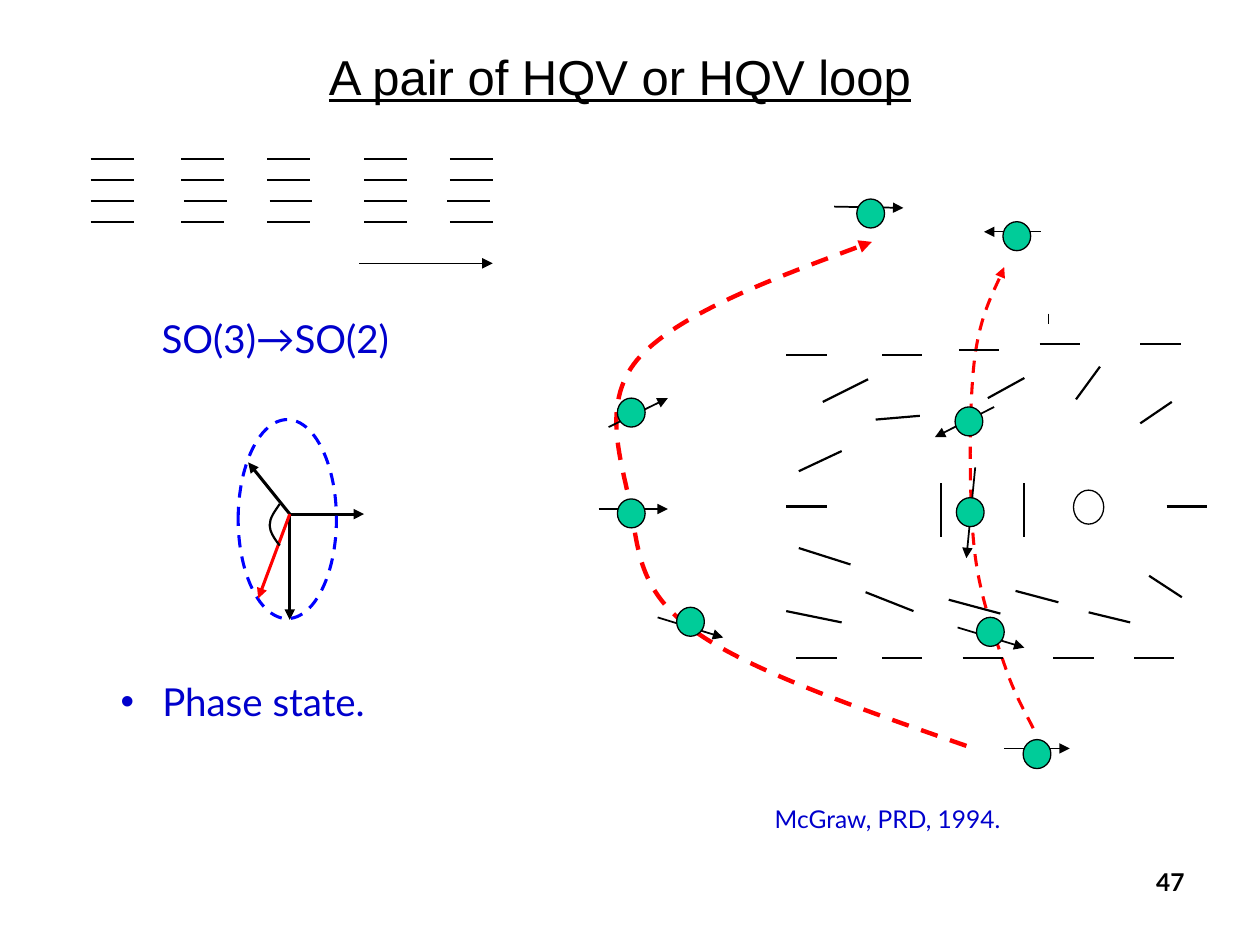
import lxml.etree
import pptx
import pptx.dml.color
import pptx.enum.dml
import pptx.enum.shapes
import pptx.enum.text
import pptx.oxml.ns
import pptx.util

Inches = pptx.util.Inches
Pt = pptx.util.Pt
qn = pptx.oxml.ns.qn
ALIGN = pptx.enum.text.PP_ALIGN

BLACK, RED, BLUE, INK, GREEN = "000000", "FF0000", "0000FF", "0000CC", "00CC99"


def colour(value):
    return pptx.dml.color.RGBColor.from_string(value)


class Painter:
    """Holds the style and the slide; shapes go into the current target."""

    font = "Lato"

    def __init__(self, slide):
        self.slide = slide
        self.target = slide.shapes

    def start_group(self):
        self.target = self.slide.shapes.add_group_shape().shapes

    def end_group(self):
        self.target = self.slide.shapes

    def outline(self, shape, line_colour, width, dashed=False, arrow=False):
        shape.line.color.rgb = colour(line_colour)
        shape.line.width = Pt(width)
        if dashed:
            shape.line.dash_style = pptx.enum.dml.MSO_LINE.DASH
        if arrow:
            line = shape._element.spPr.find(qn("a:ln"))
            lxml.etree.SubElement(line, qn("a:tailEnd"), type="triangle")

    def line(self, x1, y1, x2, y2, line_colour=BLACK, width=1.25, arrow=False):
        connector = self.target.add_connector(
            pptx.enum.shapes.MSO_CONNECTOR.STRAIGHT,
            Inches(x1), Inches(y1), Inches(x2), Inches(y2))
        self.outline(connector, line_colour, width, arrow=arrow)
        lxml.etree.SubElement(connector._element.spPr, qn("a:effectLst"))

    def ellipse(self, left, top, width, height, fill=None,
                line_colour=BLACK, line_width=0.75, dashed=False):
        shape = self.target.add_shape(
            pptx.enum.shapes.MSO_SHAPE.OVAL,
            Inches(left), Inches(top), Inches(width), Inches(height))
        shape.shadow.inherit = False
        if fill:
            shape.fill.solid()
            shape.fill.fore_color.rgb = colour(fill)
        else:
            shape.fill.background()
        self.outline(shape, line_colour, line_width, dashed)

    def curve(self, points, line_colour, width, dashed=False, arrow=False):
        """Cubic curve: a start point, then three points per segment."""
        start, *others = [(Inches(x), Inches(y)) for x, y in points]
        builder = self.target.build_freeform(*start)
        builder.add_line_segments(others, close=False)
        shape = builder.convert_to_shape()
        shape.shadow.inherit = False
        shape.fill.background()
        self.outline(shape, line_colour, width, dashed, arrow)
        # Turn each three straight steps into one cubic segment
        path = shape._element.spPr.find(".//" + qn("a:path"))
        steps = path.findall(qn("a:lnTo"))
        for index in range(0, len(steps), 3):
            cubic = lxml.etree.SubElement(path, qn("a:cubicBezTo"))
            for step in steps[index:index + 3]:
                cubic.append(step[0])
                path.remove(step)

    def spin(self, arrow, left, top, width=1):
        self.line(*arrow, width=width, arrow=True)
        self.ellipse(left, top, 0.22, 0.23, GREEN)

    def text(self, words, left, top, width, height, size, text_colour=INK,
             font=None, align=ALIGN.LEFT, bold=False, underline=False,
             middle=False, wrap=True, bullet=False):
        box = self.target.add_textbox(
            Inches(left), Inches(top), Inches(width), Inches(height))
        frame = box.text_frame
        frame.word_wrap = wrap
        if middle:
            frame.vertical_anchor = pptx.enum.text.MSO_ANCHOR.MIDDLE
        frame.text = words
        paragraph = frame.paragraphs[0]
        paragraph.alignment = align
        if bullet:
            properties = paragraph._p.get_or_add_pPr()
            properties.set("marL", str(Inches(0.33)))
            properties.set("indent", str(-Inches(0.33)))
            lxml.etree.SubElement(properties, qn("a:buFont"), typeface="Arial")
            lxml.etree.SubElement(properties, qn("a:buChar"), char="•")
        run_font = paragraph.runs[0].font
        run_font.name = font or self.font
        run_font.size = Pt(size)
        run_font.bold = bold
        run_font.underline = underline
        run_font.color.rgb = colour(text_colour)


def main():
    presentation = pptx.Presentation()
    presentation.slide_width = Inches(10)
    presentation.slide_height = Inches(7.5)
    slide = presentation.slides.add_slide(presentation.slide_layouts[6])
    painter = Painter(slide)

    # Slide number and title
    painter.text("47", 7.17, 6.83, 2.33, 0.52, 14, BLACK,
                 align=ALIGN.RIGHT, bold=True)
    painter.text("A pair of HQV or HQV loop", 0.42, 0.25, 9, 0.7, 28, BLACK,
                 font="Arial", align=ALIGN.CENTER, underline=True, middle=True)

    # Dashed paths around and through the vortex pair
    painter.curve([(7.67, 5.92), (6.81, 5.62), (5.94, 5.32), (5.5, 5),
                   (5.06, 4.68), (5.07, 4.36), (5, 4),
                   (4.93, 3.64), (4.76, 3.18), (5.08, 2.83),
                   (5.4, 2.49), (6.16, 2.2), (6.92, 1.92)],
                  RED, 2.5, dashed=True, arrow=True)
    painter.curve([(8.2, 5.78), (8.13, 5.64), (8.05, 5.51), (7.97, 5.27),
                   (7.89, 5.03), (7.77, 4.73), (7.73, 4.33),
                   (7.69, 3.94), (7.69, 3.26), (7.73, 2.89),
                   (7.77, 2.52), (7.92, 2.25), (7.97, 2.12)],
                  RED, 1.75, dashed=True, arrow=True)

    # Director field: level, upright and tilted strokes
    level_strokes = [(6.24, 2.82), (7, 2.82), (7.61, 2.78), (8.25, 2.73),
                     (9.05, 2.73), (6.24, 4.02), (9.26, 4.02), (6.32, 5.22),
                     (7, 5.22), (7.64, 5.22), (8.36, 5.22), (9, 5.22)]
    for x, y in level_strokes:
        painter.line(x, y, x + 0.32, y)
    for x in (7.47, 8.13):
        painter.line(x, 4.26, x, 3.83)
    tilted_strokes = [
        (9.12, 4.57, 9.38, 4.74), (8.64, 4.86, 8.97, 4.94),
        (9.05, 3.36, 9.3, 3.19), (8.54, 3.17, 8.73, 2.91),
        (8.06, 4.69, 8.4, 4.78), (7.84, 3.16, 8.13, 3),
        (6.95, 3.33, 7.3, 3.3), (6.87, 4.7, 7.25, 4.85),
        (7.53, 4.76, 7.94, 4.87), (6.34, 3.74, 6.68, 3.58),
        (6.34, 4.35, 6.75, 4.48), (6.53, 3.19, 6.89, 3.01),
        (6.24, 4.85, 6.68, 4.94)]
    for stroke in tilted_strokes:
        painter.line(*stroke)
    painter.line(8.32, 2.49, 8.32, 2.57, width=0.75)
    painter.ellipse(8.52, 3.89, 0.24, 0.27)
    painter.text("McGraw, PRD, 1994.", 6.05, 6.33, 2.04, 0.34, 14)

    # Spins along both paths
    painter.spin((7.97, 5.94, 8.49, 5.94), 8.12, 5.87)
    painter.spin((8.26, 1.84, 7.81, 1.84), 7.96, 1.76, width=0.75)
    painter.spin((7.74, 3.71, 7.67, 4.43), 7.59, 3.95)
    painter.spin((5.22, 4.9, 5.74, 5.06), 5.37, 4.82)
    painter.spin((4.75, 4.04, 5.3, 4.04), 4.9, 3.96)
    painter.spin((4.83, 3.39, 5.3, 3.16), 4.9, 3.16)
    painter.spin((6.62, 1.64, 7.17, 1.65), 6.8, 1.58)
    painter.spin((7.6, 4.98, 8.13, 5.14), 7.75, 4.9)
    painter.spin((7.89, 3.23, 7.42, 3.47), 7.58, 3.23)

    # Phase circle with its arrows
    painter.start_group()
    for x, y in [(2.89, 4.08), (1.97, 3.67), (2.3, 4.92)]:
        painter.line(2.3, 4.08, x, y, width=1.75, arrow=True)
    painter.ellipse(1.89, 3.33, 0.78, 1.58, line_colour=BLUE,
                    line_width=1.75, dashed=True)
    painter.line(2.3, 4.08, 2.05, 4.75, RED, 1.75, arrow=True)
    painter.curve([(2.22, 4), (2.18, 4.06), (2.14, 4.11), (2.14, 4.17),
                   (2.14, 4.22), (2.18, 4.28), (2.22, 4.33)], BLACK, 1.25)

    # Aligned state: a grid whose third row is slightly shifted
    painter.start_group()
    painter.line(2.85, 2.09, 3.91, 2.09, width=0.75, arrow=True)
    columns = (0.72, 1.44, 2.12, 2.89, 3.57)
    third_row_shifts = (0, 0.02, 0.02, 0, -0.02)
    for row in range(4):
        y = 1.26 + row / 6
        for x, shift in zip(columns, third_row_shifts):
            left = x + shift if row == 2 else x
            painter.line(left, y, left + 0.34, y)
    painter.end_group()

    # Captions on the left
    painter.text("SO(3)→SO(2)", 1.15, 2.45, 2.07, 0.47, 22,
                 align=ALIGN.CENTER, wrap=False)
    painter.text("Phase state.", 0.86, 5.33, 2.17, 0.47, 22, bullet=True)

    presentation.save("out.pptx")


if __name__ == "__main__":
    main()
